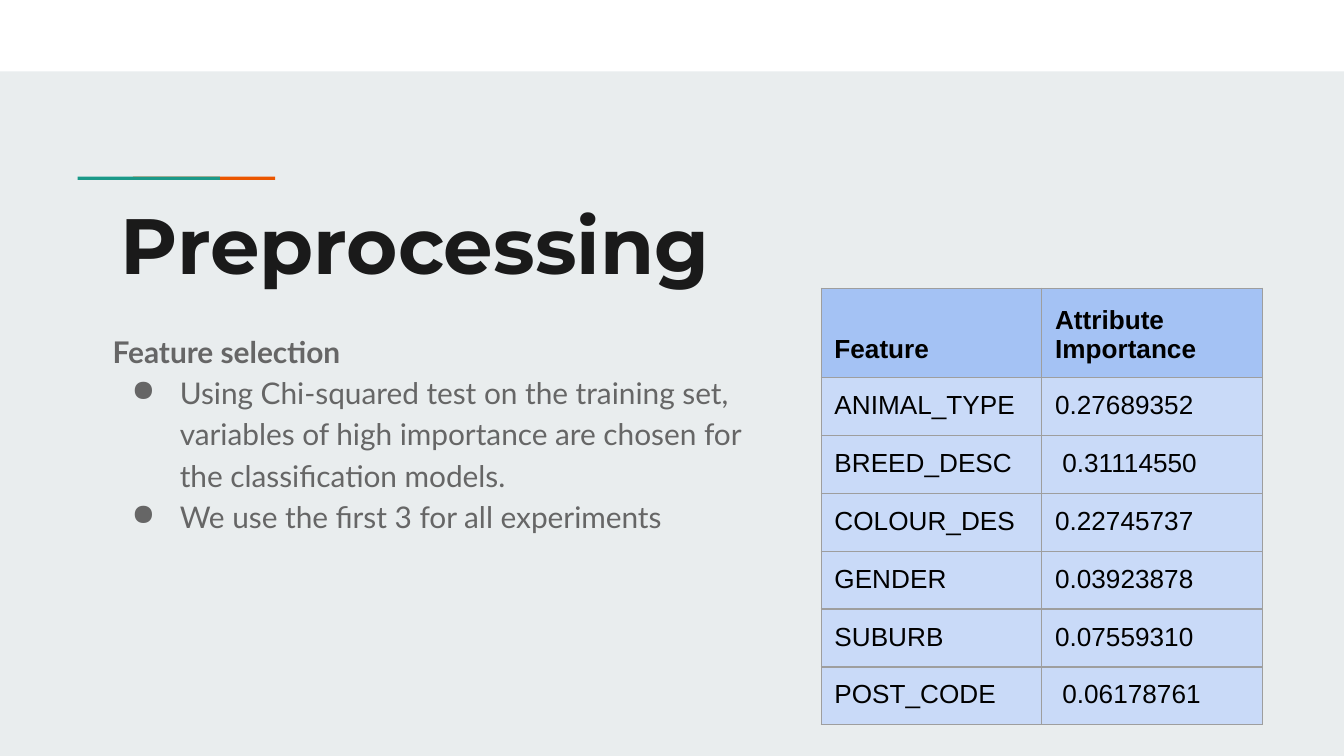
from lxml.etree import SubElement
from pptx import Presentation
from pptx.dml.color import RGBColor
from pptx.enum.shapes import MSO_SHAPE as Shape
from pptx.enum.text import MSO_ANCHOR as Anchor
from pptx.oxml.ns import qn
from pptx.util import Cm, Pt

WHITE = RGBColor(0xFF, 0xFF, 0xFF)
BLACK = RGBColor(0, 0, 0)
BACKDROP = RGBColor(0xE9, 0xED, 0xEE)
ORANGE = RGBColor(0xEB, 0x56, 0x00)
TEAL = RGBColor(0x1A, 0x99, 0x88)
INK = RGBColor(0x1A, 0x1A, 0x1A)
GREY = RGBColor(0x66, 0x66, 0x66)
HEADER_BLUE = RGBColor(0xA4, 0xC2, 0xF4)
ROW_BLUE = RGBColor(0xC9, 0xDA, 0xF8)
BORDER = RGBColor(0x9E, 0x9E, 0x9E)
INSET = Cm(0.25)

METHOD = [
    "Using Chi-squared test on the training set, variables of high importance "
    "are chosen for the classification models.",
    "We use the first 3 for all experiments",
]
IMPORTANCES = [
    ("Feature", "Attribute Importance"),
    ("ANIMAL_TYPE", "0.27689352"),
    ("BREED_DESC", " 0.31114550"),
    ("COLOUR_DES", "0.22745737"),
    ("GENDER", "0.03923878"),
    ("SUBURB", "0.07559310"),
    ("POST_CODE", " 0.06178761"),
]


def style(paragraph, font_name, size, color, bold=False):
    for run in paragraph.runs:
        font = run.font
        font.name, font.size, font.bold = font_name, Pt(size), bold
        font.color.rgb = color


def add_bar(slide, left, top, width, height, color):
    bar = slide.shapes.add_shape(Shape.RECTANGLE, left, top, width, height)
    bar.shadow.inherit = False
    bar.fill.solid()
    bar.fill.fore_color.rgb = color
    bar.line.fill.background()


def add_accent(slide, left, top, width, height):
    segment = int(width * 0.72)
    add_bar(slide, left + width - segment, top, segment, height, ORANGE)
    add_bar(slide, left, top, segment, height, TEAL)


def add_text_frame(slide, left, top, width, height):
    frame = slide.shapes.add_textbox(left, top, width, height).text_frame
    frame.word_wrap = True
    frame.margin_left = frame.margin_right = INSET
    frame.margin_top = frame.margin_bottom = INSET
    return frame


def add_title(slide, left, top, width, height):
    frame = add_text_frame(slide, left, top, width, height)
    frame.text = "Preprocessing"
    style(frame.paragraphs[0], "Montserrat", 42, INK, True)


def add_bullet(paragraph):
    properties = paragraph._p.get_or_add_pPr()
    properties.set("marL", str(Cm(1.27)))
    properties.set("indent", str(Cm(-0.91)))
    color = SubElement(properties, qn("a:buClr"))
    SubElement(color, qn("a:srgbClr"), val=str(GREY))
    SubElement(properties, qn("a:buChar"), char="●")


def add_selection(slide, left, top, width, height):
    frame = add_text_frame(slide, left, top, width, height)
    frame.margin_top = Cm(1.49)
    heading = frame.paragraphs[0]
    heading.text = "Feature selection"
    heading.line_spacing = 1.15
    style(heading, "Lato", 16, GREY, True)
    for step in METHOD:
        paragraph = frame.add_paragraph()
        paragraph.text = step
        paragraph.line_spacing = 1.15
        add_bullet(paragraph)
        style(paragraph, "Lato", 16, GREY)


def add_borders(cell):
    properties = cell._tc.get_or_add_tcPr()
    for index, side in enumerate(("lnL", "lnR", "lnT", "lnB")):
        line = SubElement(properties, qn(f"a:{side}"), w=str(Pt(0.75)))
        fill = SubElement(line, qn("a:solidFill"))
        SubElement(fill, qn("a:srgbClr"), val=str(BORDER))
        properties.insert(index, line)


def add_importances(slide, left, top, width, height):
    table = slide.shapes.add_table(
        len(IMPORTANCES), 2, left, top, width, height
    ).table
    header_height = Cm(1.6)
    row_height = (height - header_height) // (len(IMPORTANCES) - 1)
    for row, values in enumerate(IMPORTANCES):
        is_header = row == 0
        table.rows[row].height = header_height if is_header else row_height
        for column, value in enumerate(values):
            cell = table.cell(row, column)
            cell.text = value
            cell.margin_left = cell.margin_right = INSET
            cell.margin_top = cell.margin_bottom = INSET
            cell.vertical_anchor = Anchor.BOTTOM if is_header else Anchor.TOP
            cell.fill.solid()
            cell.fill.fore_color.rgb = HEADER_BLUE if is_header else ROW_BLUE
            add_borders(cell)
            style(cell.text_frame.paragraphs[0], "Arial", 14, BLACK, is_header)


def main():
    deck = Presentation()
    deck.slide_width, deck.slide_height = Cm(25.4), Cm(14.29)
    slide = deck.slides.add_slide(deck.slide_layouts[6])
    slide.background.fill.solid()
    slide.background.fill.fore_color.rgb = BACKDROP
    add_bar(slide, 0, 0, deck.slide_width, Cm(1.35), WHITE)
    add_accent(slide, Cm(1.47), Cm(3.34), Cm(3.73), Cm(0.06))
    add_title(slide, Cm(2.03), Cm(3.45), Cm(21.36), Cm(2.18))
    add_selection(slide, Cm(1.88), Cm(4.72), Cm(12.93), Cm(9.27))
    add_importances(slide, Cm(15.52), Cm(5.45), Cm(8.34), Cm(7.97))
    deck.save("out.pptx")


if __name__ == "__main__":
    main()
